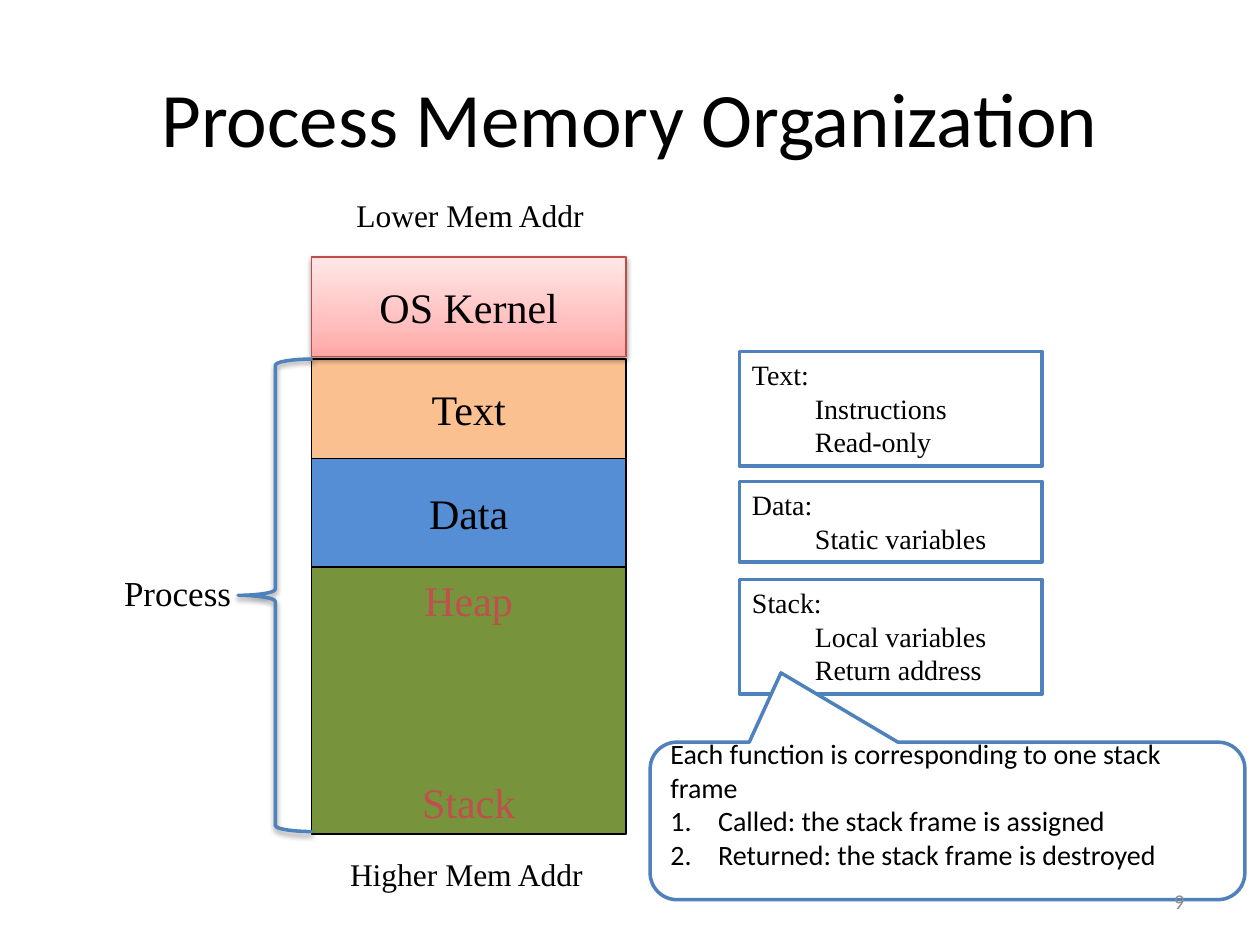
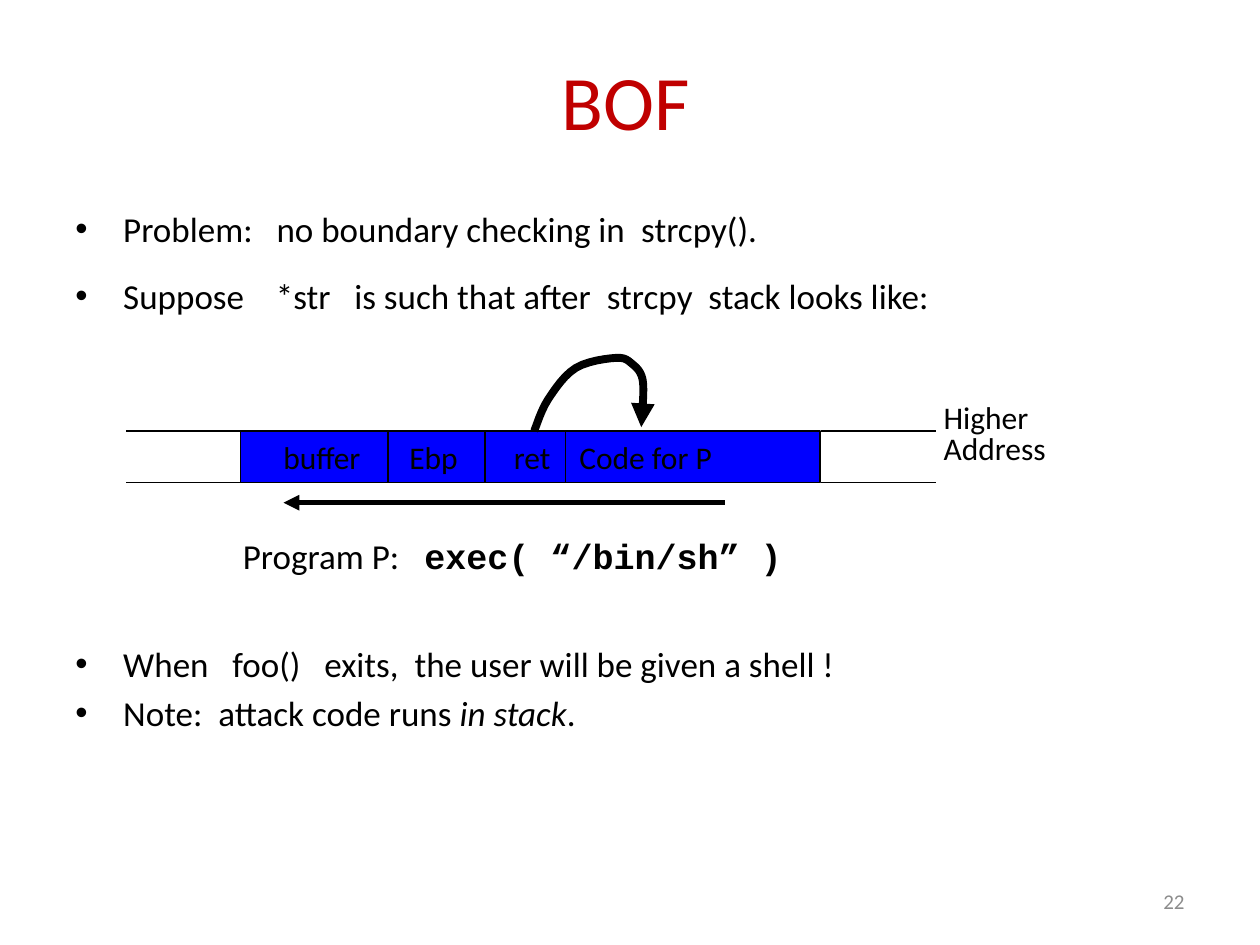
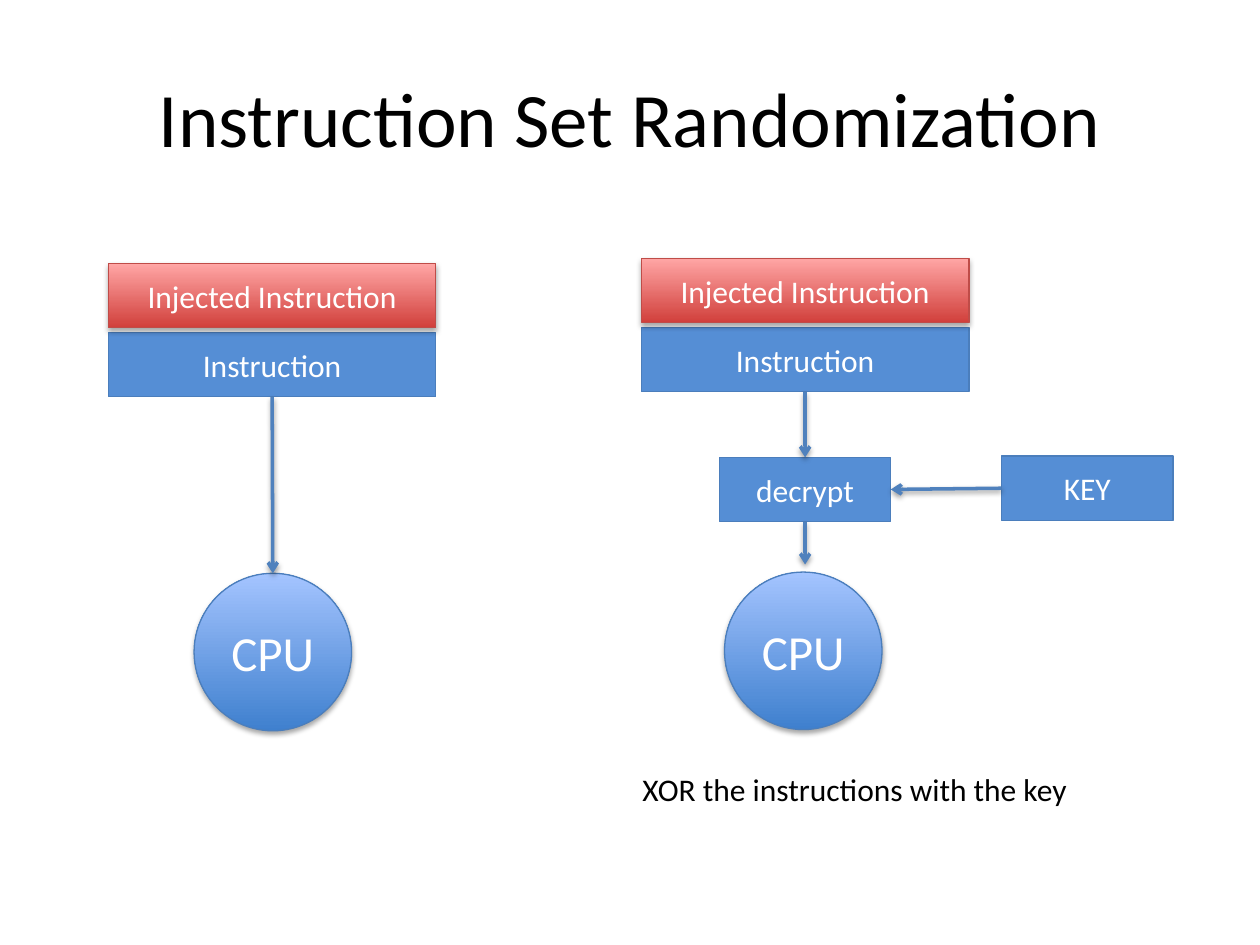
from lxml import etree
from pptx import Presentation
from pptx.dml.color import RGBColor
from pptx.enum.shapes import MSO_CONNECTOR, MSO_SHAPE
from pptx.enum.text import MSO_ANCHOR, PP_ALIGN
from pptx.oxml.ns import qn
from pptx.util import Inches, Pt

SLIDE_WIDTH, SLIDE_HEIGHT = Inches(10), Inches(7.5)
GRID_COLUMNS, GRID_ROWS = 10, 7.5
COLUMN, ROW = SLIDE_WIDTH / GRID_COLUMNS, SLIDE_HEIGHT / GRID_ROWS

RECTANGLE = MSO_SHAPE.RECTANGLE
OVAL = MSO_SHAPE.OVAL
BRACE = MSO_SHAPE.LEFT_BRACE
CALLOUT = MSO_SHAPE.ROUNDED_RECTANGULAR_CALLOUT
STRAIGHT = MSO_CONNECTOR.STRAIGHT
TOP, MIDDLE = MSO_ANCHOR.TOP, MSO_ANCHOR.MIDDLE
LEFT, CENTER, RIGHT = PP_ALIGN.LEFT, PP_ALIGN.CENTER, PP_ALIGN.RIGHT
TOP_SIDE, LEFT_SIDE, BOTTOM_SIDE, RIGHT_SIDE = range(4)

SANS, SERIF, MONO = "Calibri", "Times New Roman", "Courier New"
BLACK, WHITE, GREY = "000000", "FFFFFF", "8C8C8C"
ACCENT, BLUE, BLUE_EDGE = "4F81BD", "558ED5", "4B7EBC"
RED, RED_EDGE, RED_TEXT = "C00000", "BF4C48", "C0504D"
ORANGE, GREEN, BUFFER_BLUE = "FAC090", "77933C", "0000FF"
KERNEL_GRADIENT = [(0, "FFA6A5"), (35, "FFC0BF"), (100, "FFE7E7")]
INJECTED_GRADIENT = [(0, "D1403C"), (100, "FFA6A5")]
CPU_GRADIENT = [(0, "3F80CE"), (100, "A4C4FF")]
LIGHT_SHADOW = (35, 1.8)
DARK_SHADOW = (38, 1.6)
BULLET = ("buChar", {"char": "•"})
NUMBER = ("buAutoNum", {"type": "arabicPeriod"})
NARROW_GAP, WIDE_GAP, WIDEST_GAP = 4.5, 9, 13.5


def rgb(value):
    return RGBColor.from_string(value)


def across(columns):
    return round(columns * COLUMN)


def down(rows):
    return round(rows * ROW)


def place(left, top, width, height):
    return across(left), down(top), across(width), down(height)


def set_all(target, values):
    for name, value in values.items():
        setattr(target, name, value)


def add_node(parent, tag, **attributes):
    return etree.SubElement(parent, qn(f"a:{tag}"), {k: str(v) for k, v in attributes.items()})


def add_effects(shape, shadow=None):
    effects = add_node(shape._element.spPr, "effectLst")
    if shadow:
        opacity, distance = shadow
        outer = add_node(effects, "outerShdw", blurRad=Pt(3.1), dist=Pt(distance),
                         dir=90 * 60000, rotWithShape=0)
        color = add_node(outer, "srgbClr", val=BLACK)
        add_node(color, "alpha", val=opacity * 1000)


def set_fill(shape, fill):
    if fill is None:
        shape.fill.background()
    elif isinstance(fill, str):
        shape.fill.solid()
        shape.fill.fore_color.rgb = rgb(fill)
    else:
        shape.fill.gradient()
        shape.fill.gradient_angle = 90
        stops = shape._element.spPr.find(qn("a:gradFill")).find(qn("a:gsLst"))
        for stop in list(stops):
            stops.remove(stop)
        for position, color in fill:
            add_node(add_node(stops, "gs", pos=position * 1000), "srgbClr", val=color)


def set_line(shape, color, width, arrow=None):
    shape.line.color.rgb = rgb(color)
    shape.line.width = Pt(width)
    if arrow:
        add_node(shape._element.spPr.find(qn("a:ln")), "tailEnd", type=arrow)


def write_paragraph(para, item, style, align):
    item = {"spans": [(item, {})]} if isinstance(item, str) else item
    para.alignment = align
    if "before" in item:
        para.space_before = Pt(item["before"])
    if "spacing" in item:
        para.line_spacing = item["spacing"]
    properties = para._p.get_or_add_pPr()
    if "indent" in item:
        properties.set("marL", str(across(item["indent"])))
    if "bullet" in item:
        tag, attributes = item["bullet"]
        properties.set("indent", str(-across(item["indent"])))
        if item["bullet"] is BULLET:
            add_node(properties, "buFont", typeface="Arial")
        add_node(properties, tag, **attributes)
    if "tabs" in item:
        tabs = add_node(properties, "tabLst")
        for position in item["tabs"]:
            add_node(tabs, "tab", pos=across(position), algn="l")
    for text, changes in item["spans"]:
        span = para.add_run()
        span.text = text
        values = {**style, **changes}
        tracking = values.pop("tracking", 0)
        if tracking:
            span._r.get_or_add_rPr().set("spc", str(round(tracking * 100)))
        span.font.color.rgb = rgb(values.pop("color"))
        set_all(span.font, values)


def write(shape, items, size, font=SANS, color=BLACK, align=LEFT, anchor=TOP, wrap=True, **margins):
    frame = shape.text_frame
    set_all(frame, {"word_wrap": wrap, "vertical_anchor": anchor, **margins})
    style = {"size": Pt(size), "name": font, "color": color}
    for index, item in enumerate(items):
        para = frame.add_paragraph() if index else frame.paragraphs[0]
        write_paragraph(para, item, style, align)


def add_text(page, cells, items, size, **style):
    box = page.shapes.add_textbox(*place(*cells))
    write(box, items, size, **style)


def add_block(page, kind, cells, fill, edge, width=0.75, shadow=None):
    block = page.shapes.add_shape(kind, *place(*cells))
    set_fill(block, fill)
    set_line(block, edge, width)
    add_effects(block, shadow)
    return block


def add_line(page, start, end, color=BLACK, width=0.75, arrow=None, shadow=None):
    line = page.shapes.add_connector(STRAIGHT, across(start[0]), down(start[1]),
                                     across(end[0]), down(end[1]))
    set_line(line, color, width, arrow)
    add_effects(line, shadow)
    return line


def add_flow(page, source, source_side, target=None, target_side=None, end=(0, 0)):
    flow = add_line(page, (0, 0), end, ACCENT, 2, "arrow", DARK_SHADOW)
    flow.begin_connect(source, source_side)
    if target is not None:
        flow.end_connect(target, target_side)


def smooth_points(knots, steps=6):
    padded = [knots[0], *knots, knots[-1]]
    points = [knots[0]]
    for before, start, end, after in zip(padded, padded[1:], padded[2:], padded[3:]):
        for step in range(1, steps + 1):
            t = step / steps
            points.append(tuple(
                0.5 * (2 * b + (c - a) * t + (2 * a - 5 * b + 4 * c - d) * t ** 2
                       + (3 * b - a - 3 * c + d) * t ** 3)
                for a, b, c, d in zip(before, start, end, after)))
    return points


def add_curve(page, knots, width, arrow):
    points = [(across(x), down(y)) for x, y in smooth_points(knots)]
    builder = page.shapes.build_freeform(*points[0])
    builder.add_line_segments(points[1:], close=False)
    curve = builder.convert_to_shape()
    set_fill(curve, None)
    set_line(curve, BLACK, width, arrow)
    add_effects(curve)


def add_number(page, number):
    add_text(page, (7.17, 6.95, 2.33, 0.4), [number], 12, color=GREY, align=RIGHT, anchor=MIDDLE)


def add_page(deck, title, title_cells=(0.5, 0.3, 9, 1.25), color=BLACK):
    page = deck.slides.add_slide(deck.slide_layouts[6])
    add_text(page, title_cells, [title], 44, color=color, align=CENTER, anchor=MIDDLE)
    return page


def add_note(page, top, height, heading, details):
    note = add_block(page, RECTANGLE, (5.87, top, 2.4, height), WHITE, ACCENT, 2)
    lines = [{"spans": [(detail, {})], "indent": 0.5} for detail in details]
    write(note, [heading, *lines], 16, font=SERIF)


def add_memory_page(deck):
    page = add_page(deck, "Process Memory Organization")
    for text, cells in [("Lower Mem Addr", (2.73, 1.51, 2.02, 0.4)),
                        ("Higher Mem Addr", (2.68, 6.74, 2.13, 0.4))]:
        add_text(page, cells, [text], 18, font=SERIF)
    add_note(page, 2.79, 0.91, "Text:", ["Instructions", "Read-only"])
    add_note(page, 3.82, 0.64, "Data:", ["Static variables"])
    add_note(page, 4.6, 0.91, "Stack:", ["Local variables", "Return address"])

    left, width = 2.47, 2.5
    segments = [("Text", 2.85, 0.79, ORANGE, BLACK, None),
                ("Data", 3.64, 0.86, BLUE, BLACK, None),
                (None, 4.5, 2.12, GREEN, BLACK, None),
                ("OS Kernel", 2.04, 0.79, KERNEL_GRADIENT, RED_EDGE, DARK_SHADOW)]
    for name, top, height, fill, edge, shadow in segments:
        segment = add_block(page, RECTANGLE, (left, top, width, height), fill, edge, shadow=shadow)
        if name:
            write(segment, [name], 24, font=SERIF, align=CENTER, anchor=MIDDLE)
    for name, top in [("Heap", 4.51), ("Stack", 6.11)]:
        add_text(page, (left, top, width, 0.5), [name], 24, font=SERIF, color=RED_TEXT,
                 align=CENTER, anchor=MIDDLE)

    add_text(page, (0.88, 4.49, 1.06, 0.44), ["Process"], 20, font=SERIF, align=CENTER, wrap=False)
    add_block(page, BRACE, (1.89, 2.85, 0.59, 3.75), None, ACCENT, 2, DARK_SHADOW)

    callout = add_block(page, CALLOUT, (5.16, 5.89, 4.72, 1.25), WHITE, ACCENT, 2)
    for index, value in enumerate((-0.28, -0.94, 0.17)):
        callout.adjustments[index] = value
    steps = [{"spans": [(text, {})], "indent": 0.38, "bullet": NUMBER}
             for text in ("Called: the stack frame is assigned",
                          "Returned: the stack frame is destroyed")]
    write(callout, ["Each function is corresponding to one stack frame", *steps], 16,
          anchor=MIDDLE, margin_top=0, margin_bottom=down(0.27))
    add_number(page, "9")


def spread(*pieces):
    spans = []
    for text, gap in pieces:
        spans += [(text, {}), (" ", {"tracking": gap})]
    return spans


def add_bullets(page, cells, entries, gap):
    items = [{"spans": spans, "indent": 0.38, "bullet": BULLET, "before": gap if index else 0}
             for index, spans in enumerate(entries)]
    add_text(page, cells, items, 20)


def add_overflow_page(deck):
    page = add_page(deck, "BOF", (0.5, 0.3, 8.94, 0.98), RED)
    add_number(page, "22")
    add_bullets(page, (0.5, 1.6, 8.94, 1), [
        [*spread(("Problem:", WIDE_GAP), ("no boundary checking in", NARROW_GAP)),
         ("strcpy().", {})],
        [*spread(("Suppose", WIDEST_GAP), ("*str", WIDE_GAP),
                 ("is such that after", NARROW_GAP), ("strcpy", NARROW_GAP)),
         ("stack looks like:", {})]], 14)
    add_bullets(page, (0.5, 5.05, 8.94, 0.9), [
        [*spread(("When", WIDE_GAP), ("foo()", WIDE_GAP), ("exits,", NARROW_GAP)),
         ("the user will be given a shell !", {})],
        [*spread(("Note:", NARROW_GAP)),
         ("attack code runs ", {}), ("in stack", {"italic": True}), (".", {})]], 4)

    top, height = 3.42, 0.41
    for left in (6.52, 1):
        for edge in (top, top + height):
            add_line(page, (left, edge), (left + 0.91, edge))
    address = [{"spans": [(word, {})], "spacing": 0.8} for word in ("Higher", "Address")]
    add_text(page, (7.39, 3.17, 1.08, 0.74), address, 18, wrap=False)
    add_line(page, (5.75, 3.99), (2.25, 3.99), width=3, arrow="triangle")

    stack = add_block(page, RECTANGLE, (1.91, top, 4.6, height), BUFFER_BLUE, BLACK)
    fields = {"spans": [("\tbuffer\tEbp\tret\tCode for P", {})], "tabs": [0.24, 1.24, 2.07, 2.59]}
    write(stack, [fields], 18, anchor=MIDDLE)
    for divider in (3.08, 3.85, 4.49):
        add_line(page, (divider, top), (divider, top + height))
    add_curve(page, [(4.24, 3.42), (4.35, 3.17), (4.57, 2.92), (4.89, 2.84),
                     (5.02, 2.89), (5.1, 3.01), (5.1, 3.26), (5.09, 3.39)], 4.5, "triangle")
    program = {"spans": [("Program P:\t", {}), ("exec( “/bin/sh” )", {"name": MONO, "bold": True})],
               "tabs": [1.44]}
    add_text(page, (1.83, 4.19, 4.67, 0.43), [program], 20)


def add_step(page, cells, name, fill=BLUE, edge=BLUE_EDGE, shadow=None, kind=RECTANGLE, size=18):
    step = add_block(page, kind, cells, fill, edge, shadow=shadow)
    write(step, [name], size, color=WHITE, align=CENTER, anchor=MIDDLE)
    return step


def add_instructions(page, left, top):
    instruction = add_step(page, (left, top + 0.55, 2.6, 0.51), "Instruction")
    add_step(page, (left, top, 2.6, 0.51), "Injected Instruction",
             INJECTED_GRADIENT, RED_EDGE, LIGHT_SHADOW)
    return instruction


def add_cpu(page, left, top):
    return add_step(page, (left, top, 1.25, 1.25), "CPU", CPU_GRADIENT, BLUE_EDGE,
                    LIGHT_SHADOW, OVAL, 28)


def add_randomization_page(deck):
    page = add_page(deck, "Instruction Set Randomization")
    plain = add_instructions(page, 0.86, 2.09)
    plain_cpu = add_cpu(page, 1.54, 4.55)
    add_flow(page, plain, BOTTOM_SIDE, plain_cpu, TOP_SIDE)

    encrypted = add_instructions(page, 5.09, 2.05)
    add_cpu(page, 5.75, 4.54)
    key = add_step(page, (7.95, 3.62, 1.36, 0.51), "KEY")
    decrypt = add_step(page, (5.71, 3.63, 1.36, 0.51), "decrypt")
    add_flow(page, encrypted, BOTTOM_SIDE, decrypt, TOP_SIDE)
    add_flow(page, key, LEFT_SIDE, decrypt, RIGHT_SIDE)
    add_flow(page, decrypt, BOTTOM_SIDE, end=(6.39, 4.48))
    add_text(page, (5, 6.06, 3.61, 0.4), ["XOR the instructions with the key"], 18, wrap=False)


def main():
    deck = Presentation()
    set_all(deck, {"slide_width": SLIDE_WIDTH, "slide_height": SLIDE_HEIGHT})
    add_memory_page(deck)
    add_overflow_page(deck)
    add_randomization_page(deck)
    deck.save("out.pptx")


if __name__ == "__main__":
    main()
